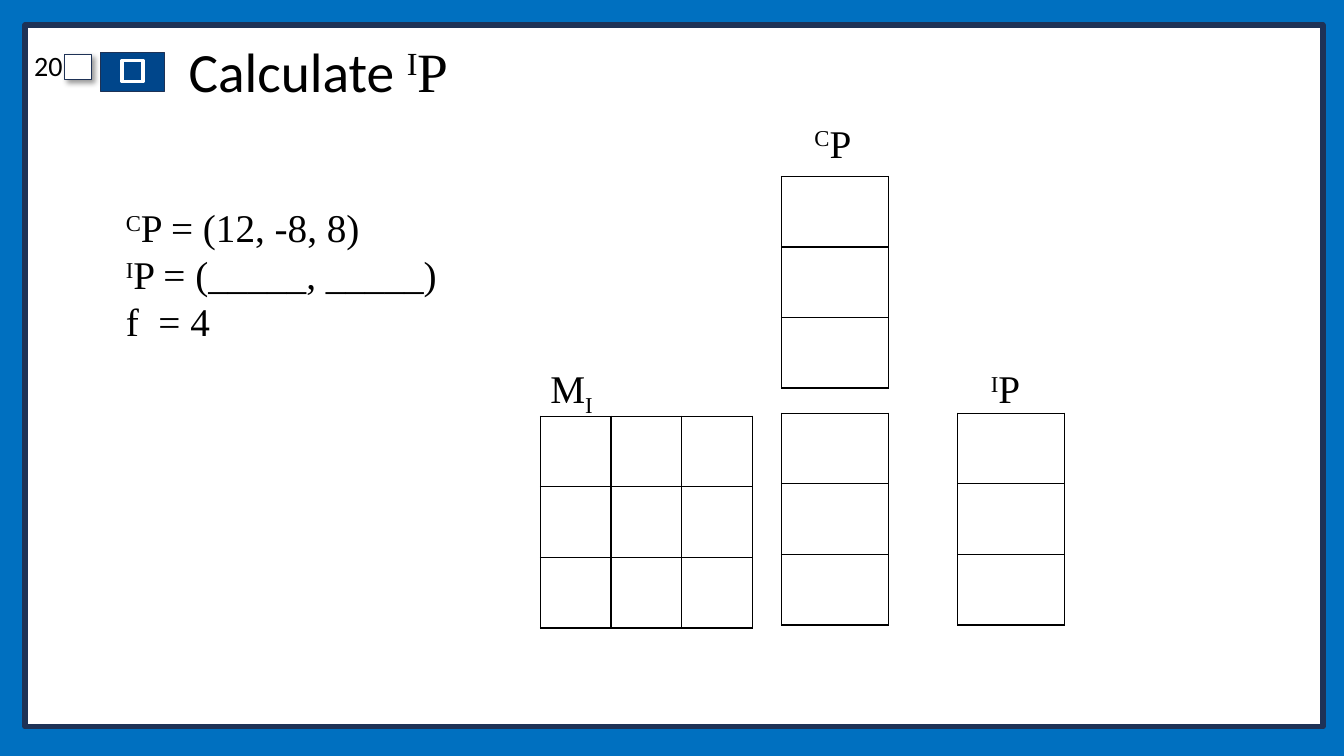
from lxml.etree import SubElement
from pptx import Presentation
from pptx.dml.color import RGBColor as RGB
from pptx.enum.shapes import MSO_SHAPE as Shape
from pptx.enum.text import MSO_ANCHOR as Anchor, MSO_AUTO_SIZE as Auto, PP_ALIGN as Align
from pptx.oxml import parse_xml
from pptx.oxml.ns import nsdecls, qn
from pptx.util import Inches, Pt

SERIF, SANS = "Times New Roman", "Calibri"
BLACK, WHITE, NAVY, BLUE, MARK = "000000", "FFFFFF", "1E3256", "0070C0", "00468B"
SUP, SUB = 30, -25
CELL = 0.7

# Content: a paragraph is a list of (text, baseline shift in percent)
TITLE = [("Calculate ", 0), ("I", SUP), ("P", 0)]
PAGE = "20"
LABELS = [  # left, top, width, height, paragraphs
    (7.98, 1.13, 0.6, 0.57, [[("C", SUP), ("P", 0)]]),
    (9.73, 3.57, 0.51, 0.57, [[("I", SUP), ("P", 0)]]),
    (1.15, 1.97, 3.33, 1.51, [[("C", SUP), ("P = (12, -8, 8)", 0)],
                              [("I", SUP), ("P = (_____, _____)", 0)],
                              [("f  = 4", 0)]]),
    (5.36, 3.57, 0.64, 0.57, [[("M", 0), ("I", SUB)]]),
]
GRIDS = [  # left, top, columns, column width
    (5.36, 4.13, 3, CELL),
    (7.75, 1.75, 1, 1.06),
    (7.75, 4.1, 1, 1.06),
    (9.5, 4.1, 1, 1.06),
]


def color(code):
    return RGB.from_string(code)


def box(shapes, x, y, w, h, fill, line, width):
    rect = shapes.add_shape(Shape.RECTANGLE, *map(Inches, (x, y, w, h)))
    rect.shadow.inherit = False
    rect.fill.solid()
    rect.fill.fore_color.rgb = color(fill)
    rect.line.color.rgb = color(line)
    rect.line.width = Pt(width)
    return rect


def write(para, runs, size, face):
    para.font.size, para.font.name = Pt(size), face
    para.font.color.rgb = color(BLACK)
    for text, shift in runs:
        run = para.add_run()
        run.text = text
        if shift:
            run.font._element.set("baseline", str(shift * 1000))


def border(cell):
    props = cell._tc.get_or_add_tcPr()
    for at, side in enumerate(("lnL", "lnR", "lnT", "lnB")):
        props.insert(at, parse_xml(
            f'<a:{side} {nsdecls("a")} w="12700"><a:solidFill>'
            f'<a:srgbClr val="{BLACK}"/></a:solidFill></a:{side}>'))


def grid(shapes, x, y, cols, width):
    frame = shapes.add_table(3, cols, *map(Inches, (x, y, cols * width, 3 * CELL)))
    table = frame.table
    table.first_row = table.horz_banding = False
    for row in table.rows:
        row.height = Inches(CELL)
    for col in table.columns:
        col.width = Inches(width)
    for cell in table.iter_cells():
        cell.fill.background()
        border(cell)


def label(shapes, x, y, w, h, paras):
    frame = shapes.add_textbox(*map(Inches, (x, y, w, h))).text_frame
    frame.word_wrap = False
    frame.auto_size = Auto.SHAPE_TO_FIT_TEXT
    for at, runs in enumerate(paras):
        para = frame.add_paragraph() if at else frame.paragraphs[0]
        write(para, runs, 28, SERIF)


def main():
    prs = Presentation()
    prs.slide_width, prs.slide_height = Inches(13.33), Inches(7.5)
    slide = prs.slides.add_slide(prs.slide_layouts[5])
    shapes = slide.shapes
    slide.background.fill.solid()
    slide.background.fill.fore_color.rgb = color(BLUE)

    # Panel and the square mark beside the title
    box(shapes, 0.25, 0.25, 12.87, 6.96, WHITE, NAVY, 4)
    mark = shapes.add_group_shape().shapes
    box(mark, 1, 0.52, 0.63, 0.39, MARK, NAVY, 1)
    box(mark, 1.21, 0.6, 0.21, 0.21, MARK, WHITE, 2.5)

    # Small box with a soft shadow
    small = box(shapes, 0.64, 0.54, 0.27, 0.25, WHITE, NAVY, 1)
    effects = small._element.spPr.find(qn("a:effectLst"))
    shade = SubElement(effects, qn("a:outerShdw"), blurRad=str(Pt(4)),
                       dist=str(Pt(3)), dir="2700000", algn="tl", rotWithShape="0")
    tint = SubElement(shade, qn("a:srgbClr"), val=BLACK)
    SubElement(tint, qn("a:alpha"), val="40000")

    # Page number
    frame = shapes.add_textbox(*map(Inches, (-0.02, 0.47, 0.74, 0.45))).text_frame
    frame.word_wrap = True
    para = frame.paragraphs[0]
    para.alignment, para.line_spacing, para.space_before = Align.RIGHT, 0.9, Pt(10)
    write(para, [(PAGE, 0)], 20, SANS)

    # Matrices, vectors and their labels
    for item in GRIDS:
        grid(shapes, *item)
    for item in LABELS:
        label(shapes, *item)

    # Title, brought in front of the panel
    title = shapes.title
    title.left, title.top, title.width, title.height = map(Inches, (1.77, 0.4, 10.65, 0.68))
    title.text_frame.vertical_anchor = Anchor.MIDDLE
    title.text_frame.auto_size = Auto.NONE
    para = title.text_frame.paragraphs[0]
    para.alignment, para.line_spacing = Align.LEFT, 0.9
    write(para, TITLE, 39.6, SANS)
    for run in para.runs[1:]:
        run.font.name = SERIF
    shapes._spTree.append(title._element)

    prs.save("out.pptx")


if __name__ == "__main__":
    main()
